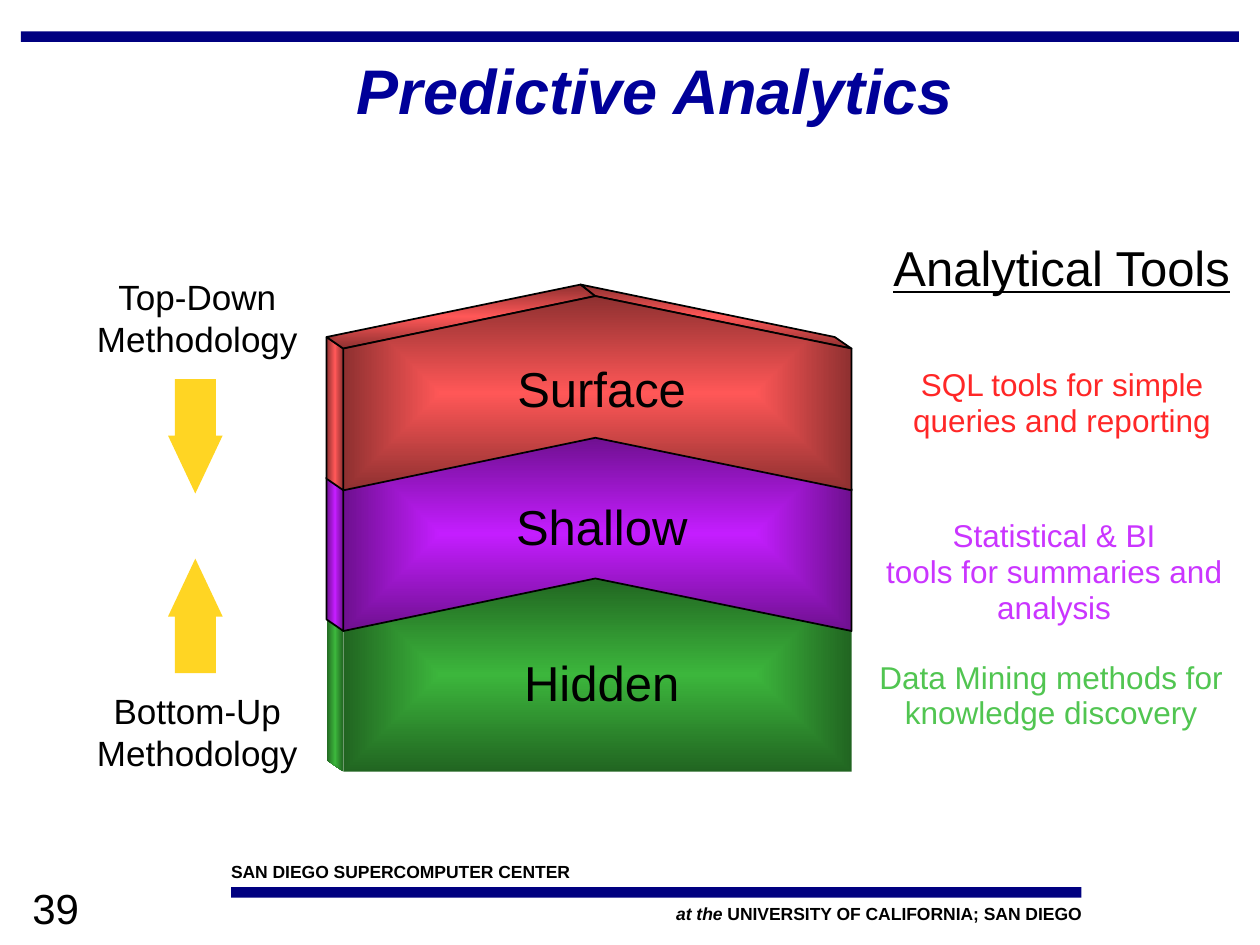
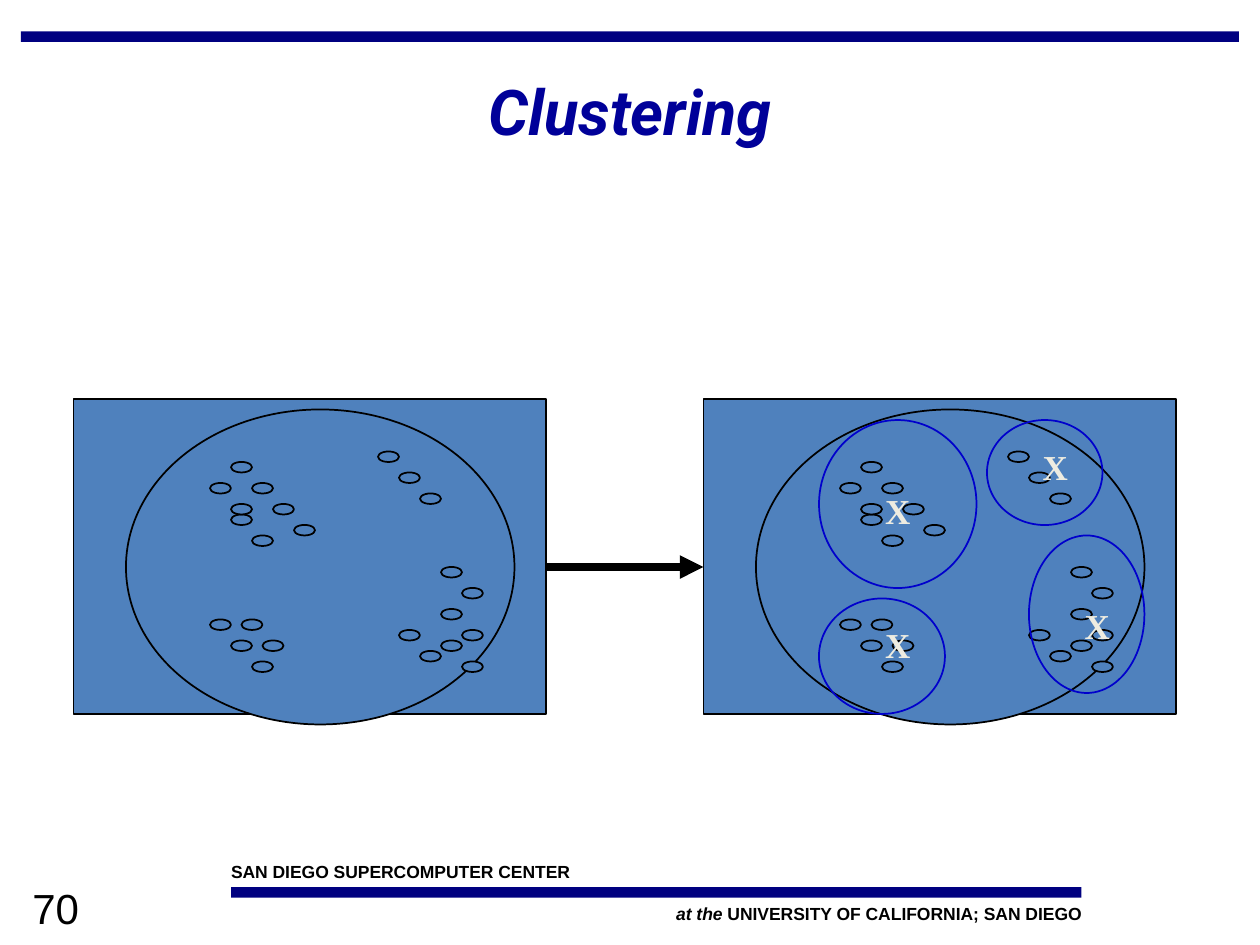
from dataclasses import dataclass

from lxml.etree import SubElement
from pptx import Presentation
from pptx.dml.color import RGBColor
from pptx.enum.shapes import MSO_CONNECTOR, MSO_SHAPE as Preset
from pptx.enum.text import MSO_ANCHOR as Anchor, PP_ALIGN as Align
from pptx.oxml.ns import qn
from pptx.util import Inches, Pt

# The page is a grid of 120 columns by 90 rows; a cell is 1/12 inch
COLUMNS, ROWS = 120, 90
CELL = Inches(1) // 12

BLACK, NAVY, TITLE_BLUE = "000000", "000080", "000099"
YELLOW, STEEL, RING_BLUE, IVORY = "FFD523", "4F81BD", "0000CC", "EEECE1"
WIDE_INSET, SLIM_INSET, NO_INSET = (1.2, 0.6), (0.72, 0.36), (0, 0)


@dataclass(frozen=True)
class Area:
    left: float
    top: float
    width: float
    height: float

    def moved(self, across: float, down: float) -> "Area":
        return Area(self.left + across, self.top + down, self.width, self.height)

    def cells(self) -> tuple:
        return tuple(cell(n) for n in (self.left, self.top, self.width, self.height))


@dataclass(frozen=True)
class Style:
    size: float
    color: str = BLACK
    font: str = "Arial"
    bold: bool = False
    italic: bool = False
    underline: bool = False
    align: Align = Align.CENTER
    spacing: float = 1.0


@dataclass(frozen=True)
class Layer:
    name: str
    light: str
    dark: str
    label_top: float
    outline: str | None
    tools: str
    tools_color: str
    tools_area: Area
    tools_inset: tuple = WIDE_INSET


@dataclass(frozen=True)
class Cluster:
    dots: tuple
    ring: Area
    mark: tuple


def cell(count: float) -> int:
    return round(count * CELL)


def rgb(color: str) -> RGBColor:
    return RGBColor.from_string(color)


# Drawing helpers
def add_text(page, area: Area, spans: list, inset: tuple = WIDE_INSET,
             anchor: Anchor = Anchor.TOP) -> None:
    """Draw one paragraph of (text, style) spans; a newline is a line break."""
    box = page.shapes.add_textbox(*area.cells())
    frame = box.text_frame
    frame.word_wrap = True
    frame.vertical_anchor = anchor
    frame.margin_left = frame.margin_right = cell(inset[0])
    frame.margin_top = frame.margin_bottom = cell(inset[1])
    para = frame.paragraphs[0]
    para.alignment = spans[0][1].align
    para.line_spacing = spans[0][1].spacing
    for text, style in spans:
        for index, line in enumerate(text.split("\n")):
            if index:
                para.add_line_break()
            span = para.add_run()
            span.text = line
            font = span.font
            font.name, font.size = style.font, Pt(style.size)
            font.bold, font.italic = style.bold, style.italic
            font.underline = style.underline
            font.color.rgb = rgb(style.color)


def set_outline(shape, outline: str | None) -> None:
    shape.shadow.inherit = False
    if outline:
        shape.line.color.rgb = rgb(outline)
        shape.line.width = Pt(1)
    else:
        shape.line.fill.background()


def add_preset(page, preset: Preset, area: Area, fill: str | None,
               outline: str | None = None, adjustments: tuple = ()) -> None:
    shape = page.shapes.add_shape(preset, *area.cells())
    for index, value in enumerate(adjustments):
        shape.adjustments[index] = value
    if fill:
        shape.fill.solid()
        shape.fill.fore_color.rgb = rgb(fill)
    else:
        shape.fill.background()
    set_outline(shape, outline)


def add_face(page, points: list, layer: Layer) -> None:
    """Draw an outline shaded from a light centre to dark edges."""
    start, *rest = [(cell(x), cell(y)) for x, y in points]
    builder = page.shapes.build_freeform(*start)
    builder.add_line_segments(rest, close=True)
    face = builder.convert_to_shape()
    face.fill.gradient()
    stops = face.fill.gradient_stops
    for stop, color, position in zip(stops, (layer.light, layer.dark), (0, 1)):
        stop.color.rgb = rgb(color)
        stop.position = position
    gradient = face._element.spPr.find(qn("a:gradFill"))
    gradient.remove(gradient.find(qn("a:lin")))
    center = SubElement(gradient, qn("a:path"), {"path": "rect"})
    SubElement(center, qn("a:fillToRect"), dict.fromkeys("ltrb", "50000"))
    set_outline(face, layer.outline)


def add_arrow(page, start: tuple, end: tuple, width: float) -> None:
    arrow = page.shapes.add_connector(
        MSO_CONNECTOR.STRAIGHT, *(cell(n) for n in start + end))
    arrow.line.color.rgb = rgb(BLACK)
    arrow.line.width = Pt(width)
    properties = arrow._element.spPr
    SubElement(properties.find(qn("a:ln")), qn("a:tailEnd"), {"type": "triangle"})
    SubElement(properties, qn("a:effectLst"))


# Shared frame: bands, footer, page number and title
def add_page(deck, title: str, number: int, title_area: Area, title_font: str):
    page = deck.slides.add_slide(deck.slide_layouts[6])
    for band in (Area(2, 3, 116, 1), Area(22, 84.5, 81, 1)):
        add_preset(page, Preset.RECTANGLE, band, NAVY)
    center = Style(10, bold=True, align=Align.LEFT)
    campus = Style(10, bold=True, align=Align.RIGHT)
    at_the = Style(10, bold=True, italic=True, align=Align.RIGHT)
    add_text(page, Area(22, 82, 75, 2),
             [("SAN DIEGO SUPERCOMPUTER CENTER", center)], NO_INSET)
    add_text(page, Area(28, 86, 75, 2),
             [("at the", at_the), (" UNIVERSITY OF CALIFORNIA; SAN DIEGO", campus)],
             NO_INSET)
    add_text(page, Area(1.9, 83.5, 25, 6), [(str(number), Style(24, align=Align.LEFT))])
    heading = Style(36, TITLE_BLUE, title_font, bold=True, italic=True, spacing=0.95)
    add_text(page, title_area, [(title, heading)], anchor=Anchor.MIDDLE)
    return page


# Predictive Analytics: three stacked chevron layers, listed from the bottom
LAYERS = (
    Layer("Hidden", "3CB63C", "216521", 61.8, None,
          "Data Mining methods for knowledge discovery", "51C551",
          Area(81.6, 62.3, 37, 8)),
    Layer("Shallow", "C41DFF", "6E108F", 46.9, BLACK,
          "Statistical & BI\ntools for summaries and analysis", "CA35FF",
          Area(81.8, 48.8, 37.2, 11.5)),
    Layer("Surface", "FF5757", "8E3030", 33.8, BLACK,
          "SQL tools for simple queries and reporting", "FF2727",
          Area(82.3, 34.7, 37.7, 7.6), SLIM_INSET),
)
TOP_APEX, LAYER_PITCH = 28.2, 13.4
SHOULDER, SIDE = 5, 13.5            # drop of the roof, height of the walls
FRONT_X, BACK_X = (32.7, 56.7, 81.1), (31.1, 55.3, 79.5)
DEPTH = 1.1


def add_layer(page, layer: Layer, apex: float) -> None:
    roof = (apex + SHOULDER, apex, apex + SHOULDER)
    front = list(zip(FRONT_X, roof))
    back = [(x, y - DEPTH) for x, y in zip(BACK_X, roof)]
    floor = apex + SHOULDER + SIDE
    left_foot, right_foot = (FRONT_X[0], floor), (FRONT_X[2], floor)
    notch = [(FRONT_X[1], floor - SHOULDER)] if layer.outline else []
    add_face(page, [front[0], left_foot, (BACK_X[0], floor - DEPTH), back[0]], layer)
    for a, b in ((0, 1), (1, 2)):
        add_face(page, [back[a], front[a], front[b], back[b]], layer)
    add_face(page, [*front, right_foot, *notch, left_foot], layer)
    add_text(page, Area(48, layer.label_top, 18.6, 6.2),
             [(layer.name, Style(28))], SLIM_INSET)
    add_text(page, layer.tools_area,
             [(layer.tools, Style(18, layer.tools_color, spacing=0.95))],
             layer.tools_inset)


def build_analytics(deck) -> None:
    page = add_page(deck, "Predictive Analytics", 39,
                    Area(9.5, 3.85, 105.8, 10), "Arial")
    for step, layer in enumerate(LAYERS):
        add_layer(page, layer, TOP_APEX + LAYER_PITCH * (len(LAYERS) - 1 - step))
    add_text(page, Area(82.2, 22.3, 37.8, 5.4),
             [("Analytical Tools", Style(28, underline=True))], SLIM_INSET)
    methods = (("Top-Down", 25.9, Preset.DOWN_ARROW, 36.1),
               ("Bottom-Up", 65.3, Preset.UP_ARROW, 53.2))
    for method, text_top, preset, arrow_top in methods:
        add_text(page, Area(8, text_top, 21.6, 8.6),
                 [(f"{method}\nMethodology", Style(20))], SLIM_INSET)
        add_preset(page, preset, Area(16, arrow_top, 5.2, 10.9), YELLOW,
                   adjustments=(0.75, 1.06))


# Clustering: places are counted from the panel's top left corner
CLUSTERS = (
    Cluster(((15, 6), (13, 8), (17, 8), (15, 11), (15, 10), (19, 10), (21, 12),
             (17, 13)), Area(11, 2, 15, 16), (15, 8)),
    Cluster(((29, 5), (31, 7), (33, 9)), Area(27, 2, 11, 10), (30, 3.8)),
    Cluster(((13, 21), (16, 21), (15, 23), (18, 23), (17, 25)),
            Area(11, 19, 12, 11), (15, 20.8)),
    Cluster(((35, 16), (37, 18), (35, 20), (31, 22), (37, 22), (35, 23), (33, 24),
             (37, 25)), Area(31, 13, 11, 15), (34, 19)),
)
PANEL_TOP, LEFT_PANEL, RIGHT_PANEL = 38, 7, 67


def add_panel(page, left: float, grouped: bool) -> None:
    corner = (left, PANEL_TOP)
    add_preset(page, Preset.RECTANGLE, Area(0, 0, 45, 30).moved(*corner), STEEL, BLACK)
    ovals = [Area(5, 1, 37, 30)]
    ovals += [Area(*dot, 2, 1) for cluster in CLUSTERS for dot in cluster.dots]
    for oval in ovals:
        add_preset(page, Preset.OVAL, oval.moved(*corner), STEEL, BLACK)
    if not grouped:
        return
    for cluster in CLUSTERS:
        add_preset(page, Preset.OVAL, cluster.ring.moved(*corner), None, RING_BLUE)
    for cluster in CLUSTERS:
        add_text(page, Area(*cluster.mark, 7, 5.2).moved(*corner),
                 [("X", Style(20, IVORY, "Times New Roman", bold=True))])


def build_clustering(deck) -> None:
    page = add_page(deck, "Clustering", 70, Area(2, 4, 116, 13.7), "Roboto")
    add_arrow(page, (48, 54), (RIGHT_PANEL, 54), 4.5)
    add_panel(page, LEFT_PANEL, grouped=False)
    add_panel(page, RIGHT_PANEL, grouped=True)


def main() -> None:
    deck = Presentation()
    deck.slide_width, deck.slide_height = cell(COLUMNS), cell(ROWS)
    build_analytics(deck)
    build_clustering(deck)
    deck.save("out.pptx")


if __name__ == "__main__":
    main()
